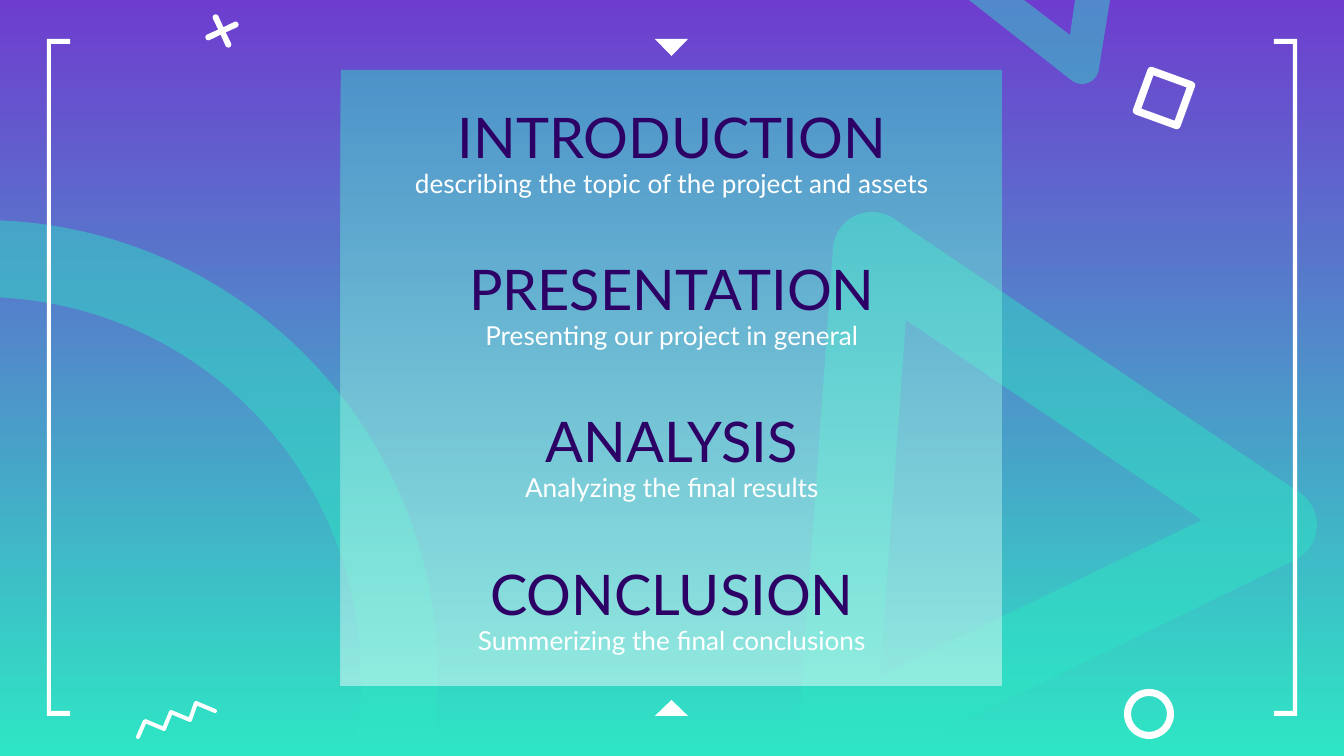
from dataclasses import dataclass
from math import cos, radians, sin

from pptx import Presentation
from pptx.dml.color import RGBColor
from pptx.enum.shapes import MSO_SHAPE
from pptx.enum.text import MSO_ANCHOR, MSO_AUTO_SIZE, PP_ALIGN
from pptx.oxml.ns import qn
from pptx.util import Pt
from lxml import etree

WIDTH, HEIGHT = 1344, 756
SCALE = 9144000 / WIDTH
TITLE_ONLY = 5
DONUT, RECT = MSO_SHAPE.DONUT, MSO_SHAPE.ROUNDED_RECTANGLE
TRIANGLE_DOWN, TRIANGLE_UP = MSO_SHAPE.FLOWCHART_MERGE, MSO_SHAPE.FLOWCHART_EXTRACT
TOP, BOTTOM = MSO_ANCHOR.TOP, MSO_ANCHOR.BOTTOM
CENTER = PP_ALIGN.CENTER
NO_AUTOSIZE = MSO_AUTO_SIZE.NONE


@dataclass(frozen=True)
class Theme:
    purple: str = "6E3DCF"
    teal: str = "2EE6C4"
    white: str = "FFFFFF"
    ink: str = "2D0066"
    font: str = "Lato"
    heading: int = 30
    body: int = 14
    alpha: int = 45


def px(n):
    return round(n * SCALE)


def polar(cx, cy, r, angle):
    a = radians(angle)
    return cx + r * cos(a), cy + r * sin(a)


def arc(cx, cy, r, start, end, steps=24):
    return [polar(cx, cy, r, start + (end - start) * i / steps)
            for i in range(steps + 1)]


class Deck:
    def __init__(self, theme):
        self.theme = theme
        self.prs = Presentation()
        self.prs.slide_width, self.prs.slide_height = px(WIDTH), px(HEIGHT)
        self.slide = self.prs.slides.add_slide(self.prs.slide_layouts[TITLE_ONLY])

    def fade(self, fill_element):
        for color in fill_element.iter(qn("a:srgbClr")):
            alpha = etree.SubElement(color, qn("a:alpha"))
            alpha.set("val", str(self.theme.alpha * 1000))

    def gradient(self, fill, top, bottom):
        fill.gradient()
        fill.gradient_angle = 270
        for stop, color in zip(fill.gradient_stops, (top, bottom)):
            stop.color.rgb = RGBColor.from_string(color)

    def paint(self, sp, color, faded=False):
        sp.shadow.inherit = False
        sp.fill.solid()
        sp.fill.fore_color.rgb = RGBColor.from_string(color)
        sp.line.fill.background()
        if faded:
            self.fade(sp.fill._xPr)

    def preset(self, kind, x, y, w, h, adj=None):
        sp = self.slide.shapes.add_shape(kind, px(x), px(y), px(w), px(h))
        self.paint(sp, self.theme.white)
        if adj is not None:
            sp.adjustments[0] = adj
        return sp

    def panel(self, x, y, w, h):
        sp = self.preset(RECT, x, y, w, h, 0)
        self.gradient(sp.fill, self.theme.teal, self.theme.white)
        self.fade(sp.fill._xPr)

    def freeform(self, contours, closed=True):
        scaled = [[(px(x), px(y)) for x, y in points] for points in contours]
        builder = self.slide.shapes.build_freeform(*scaled[0][0])
        builder.add_line_segments(scaled[0][1:], close=closed)
        for points in scaled[1:]:
            builder.move_to(*points[0])
            builder.add_line_segments(points[1:], close=closed)
        return builder.convert_to_shape()

    def outline(self, *contours, color=None, faded=False):
        self.paint(self.freeform(contours), color or self.theme.white, faded)

    def stroke(self, points, width):
        sp = self.freeform([points], closed=False)
        sp.shadow.inherit = False
        sp.fill.background()
        sp.line.color.rgb = RGBColor.from_string(self.theme.white)
        sp.line.width = px(width)
        ln = sp.line._get_or_add_ln()
        ln.set("cap", "rnd")
        etree.SubElement(ln, qn("a:round"))

    def text(self, sp, text, box, size, color, anchor):
        sp.left, sp.top, sp.width, sp.height = map(px, box)
        tf = sp.text_frame
        tf.text = text
        tf.word_wrap = True
        tf.auto_size = NO_AUTOSIZE
        tf.vertical_anchor = anchor
        tf.margin_left = tf.margin_right = tf.margin_top = tf.margin_bottom = px(13)
        p = tf.paragraphs[0]
        p.alignment = CENTER
        font = p.runs[0].font
        font.name, font.size = self.theme.font, Pt(size)
        font.color.rgb = RGBColor.from_string(color)

    def textbox(self, *args):
        self.text(self.slide.shapes.add_textbox(0, 0, 0, 0), *args)

    def title(self, *args):
        sp = self.slide.shapes.title
        self.slide.shapes._spTree.append(sp._element)  # in front of the panel
        self.text(sp, *args)


def main():
    theme = Theme()
    deck = Deck(theme)
    deck.gradient(deck.slide.background.fill, theme.purple, theme.teal)

    # Large translucent shapes: ring, triangle, cut-off triangle tip
    ring = arc(-19, 677, 457, -87.6, 10, 60) + arc(-19, 677, 380, 12, -87.1, 60)
    triangle = (arc(872, 251, 39, 184, 304) + arc(1278, 525, 39, -56, 64)
                + [(892, 756), (801, 756), (798, 738)])
    triangle_hole = [(906, 320), (1202, 520), (880, 676)]
    tip = ([(969, 0)] + arc(1082, 67, 17, 127, 8)
           + [(1110, 0), (1075, 0), (1070, 35), (1024, 0)])
    for contours in ([ring], [triangle, triangle_hole], [tip]):
        deck.outline(*contours, color=theme.teal, faded=True)

    # Small triangles above and below the panel
    deck.preset(TRIANGLE_DOWN, 655, 39, 33, 17)
    deck.preset(TRIANGLE_UP, 655, 700, 33, 16)

    # Tilted square and cross
    square, cross = [], []
    for turn in range(0, 360, 90):
        square += arc(*polar(1164, 98, 30, turn + 65), 4, turn + 20, turn + 110, 8)
        cross += arc(*polar(222, 31, 15, turn + 65), 3, turn - 25, turn + 155, 8)
        cross.append(polar(222, 31, 4, turn + 110))
    square_hole = [polar(1164, 98, 25, turn + 65) for turn in range(0, 360, 90)]
    deck.outline(square, square_hole)
    deck.outline(cross)

    # Side brackets
    bracket = [(47, 39), (47, 716), (70, 716), (70, 711),
               (51, 711), (51, 44), (70, 44), (70, 39)]
    deck.outline(bracket)
    deck.outline([(WIDTH - x, y) for x, y in bracket])

    # Zigzag and small ring
    deck.stroke([(138, 737), (145, 721), (164, 729), (171, 712),
                 (190, 720), (196, 703), (215, 711)], 4)
    deck.preset(DONUT, 1124, 689, 50, 50, 0.14)

    # Agenda
    deck.panel(341, 70, 661, 616)
    agenda = [
        ("INTRODUCTION", "describing the topic of the project and assets"),
        ("PRESENTATION", "Presenting our project in general"),
        ("ANALYSIS", "Analyzing the final results"),
        ("CONCLUSION", "Summerizing the final conclusions"),
    ]
    for i, (heading, summary) in enumerate(agenda):
        y = 98 + 457 * i // 3
        add_heading = deck.textbox if i else deck.title
        add_heading(heading, (362, y, 620, 85), theme.heading, theme.ink, BOTTOM)
        deck.textbox(summary, (362, y + 56, 620, 64), theme.body, theme.white, TOP)

    deck.prs.save("out.pptx")


if __name__ == "__main__":
    main()
